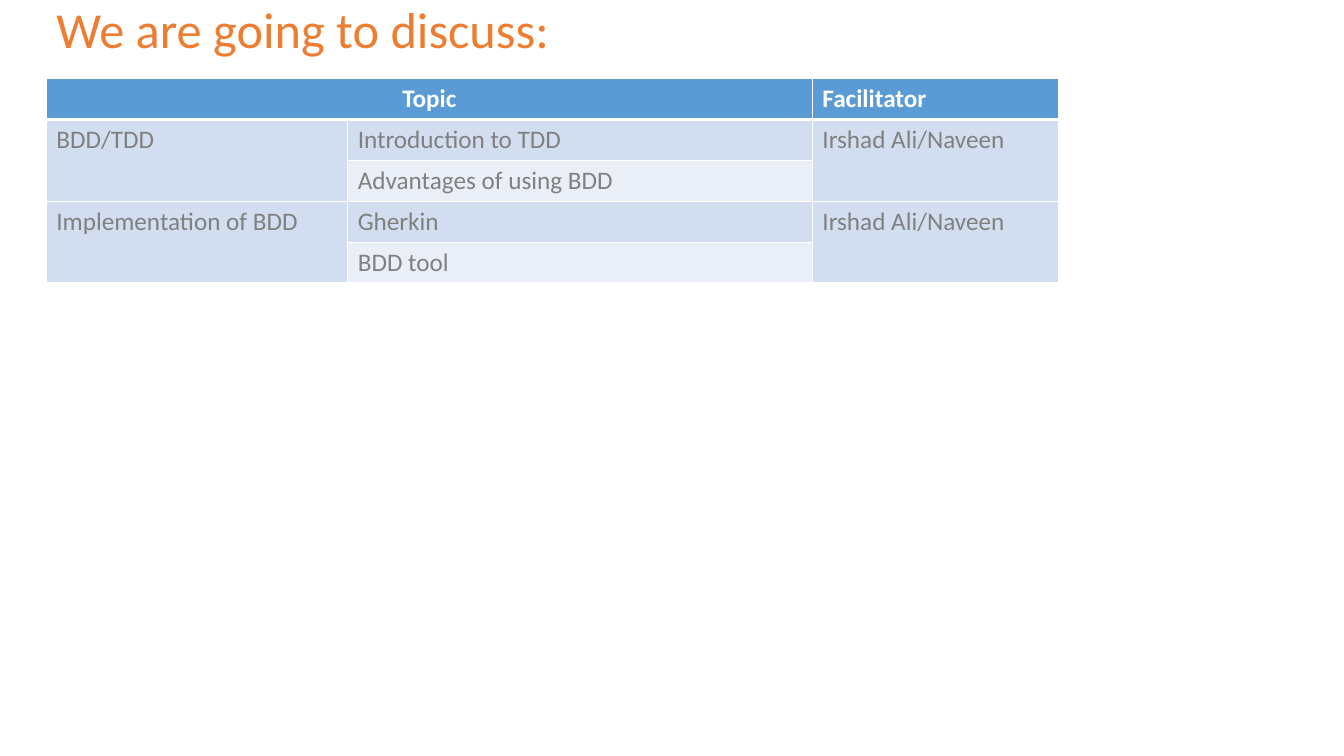
from dataclasses import dataclass

from lxml import etree
from pptx import Presentation
from pptx import util as u
from pptx.dml import color
from pptx.enum import text
from pptx.oxml import ns


@dataclass(frozen=True)
class Theme:
    font: str = "Calibri"
    title_size: int = 36
    table_size: int = 18
    title: str = "ED7D31"
    header: str = "5B9BD5"
    header_text: str = "FFFFFF"
    body_text: str = "808080"
    band_dark: str = "D2DEEF"
    band_light: str = "EAEFF7"
    border: str = "FFFFFF"


theme = Theme()


def write(paragraph, words, size, ink, bold=False):
    run = paragraph.add_run()
    run.text = words
    font_format = {"name": theme.font, "size": u.Pt(size), "bold": bold}
    for attribute, value in font_format.items():
        setattr(run.font, attribute, value)
    run.font.color.rgb = color.RGBColor.from_string(ink)


def add_border(cell, side, points):
    """Draw one side (L, R, T or B) of a table cell."""
    line = etree.SubElement(cell._tc.get_or_add_tcPr(), ns.qn(f"a:ln{side}"), w=str(u.Pt(points)))
    fill = etree.SubElement(line, ns.qn("a:solidFill"))
    etree.SubElement(fill, ns.qn("a:srgbClr"), val=theme.border)


deck = Presentation()
deck.slide_width, deck.slide_height = u.Pt(960), u.Pt(540)
slide = deck.slides.add_slide(deck.slide_layouts[6])

# Heading
left = u.Pt(33.1)
heading = slide.shapes.add_textbox(left, 0, u.Pt(918), u.Pt(500.4)).text_frame
heading.word_wrap = True
heading_line = heading.paragraphs[0]
heading_format = {"line_spacing": 0.9, "space_before": u.Pt(10)}
for attribute, value in heading_format.items():
    setattr(heading_line, attribute, value)
write(heading_line, "We are going to discuss:", theme.title_size, theme.title)

# Agenda: an empty entry belongs to the merged cell above it or to its left
agenda_rows = [
    ["Topic", "", "Facilitator"],
    ["BDD/TDD", "Introduction to TDD", "Irshad Ali/Naveen"],
    ["", "Advantages of using BDD", ""],
    ["Implementation of BDD", "Gherkin", "Irshad Ali/Naveen"],
    ["", "BDD tool", ""],
]
column_widths = [215.3, 331.9, 175.7]
row_height = 29.2
agenda = slide.shapes.add_table(
    len(agenda_rows), len(column_widths), left, u.Pt(56.2),
    u.Pt(sum(column_widths)), u.Pt(row_height * len(agenda_rows)),
).table
for column, width in zip(agenda.columns, column_widths):
    column.width = u.Pt(width)

for r, entries in enumerate(agenda_rows):
    agenda.rows[r].height = u.Pt(row_height)
    is_header = r == 0
    band = theme.header if is_header else theme.band_dark if r % 2 else theme.band_light
    ink = theme.header_text if is_header else theme.body_text
    for c, words in enumerate(entries):
        cell = agenda.cell(r, c)
        borders = {"L": 1, "R": 1, "T": 3 if r == 1 else 1, "B": 3 if is_header else 1}
        for side, points in borders.items():
            add_border(cell, side, points)
        cell.fill.solid()
        cell.fill.fore_color.rgb = color.RGBColor.from_string(band)
        if words:
            write(cell.text_frame.paragraphs[0], words, theme.table_size, ink, is_header)

agenda.cell(0, 0).merge(agenda.cell(0, 1))
for first_row in (1, 3):
    for c in (0, 2):
        agenda.cell(first_row, c).merge(agenda.cell(first_row + 1, c))

agenda.cell(0, 0).text_frame.paragraphs[0].alignment = text.PP_ALIGN.CENTER
agenda.cell(3, 0).text_frame.paragraphs[0].space_before = u.Pt(12)

deck.save("out.pptx")
